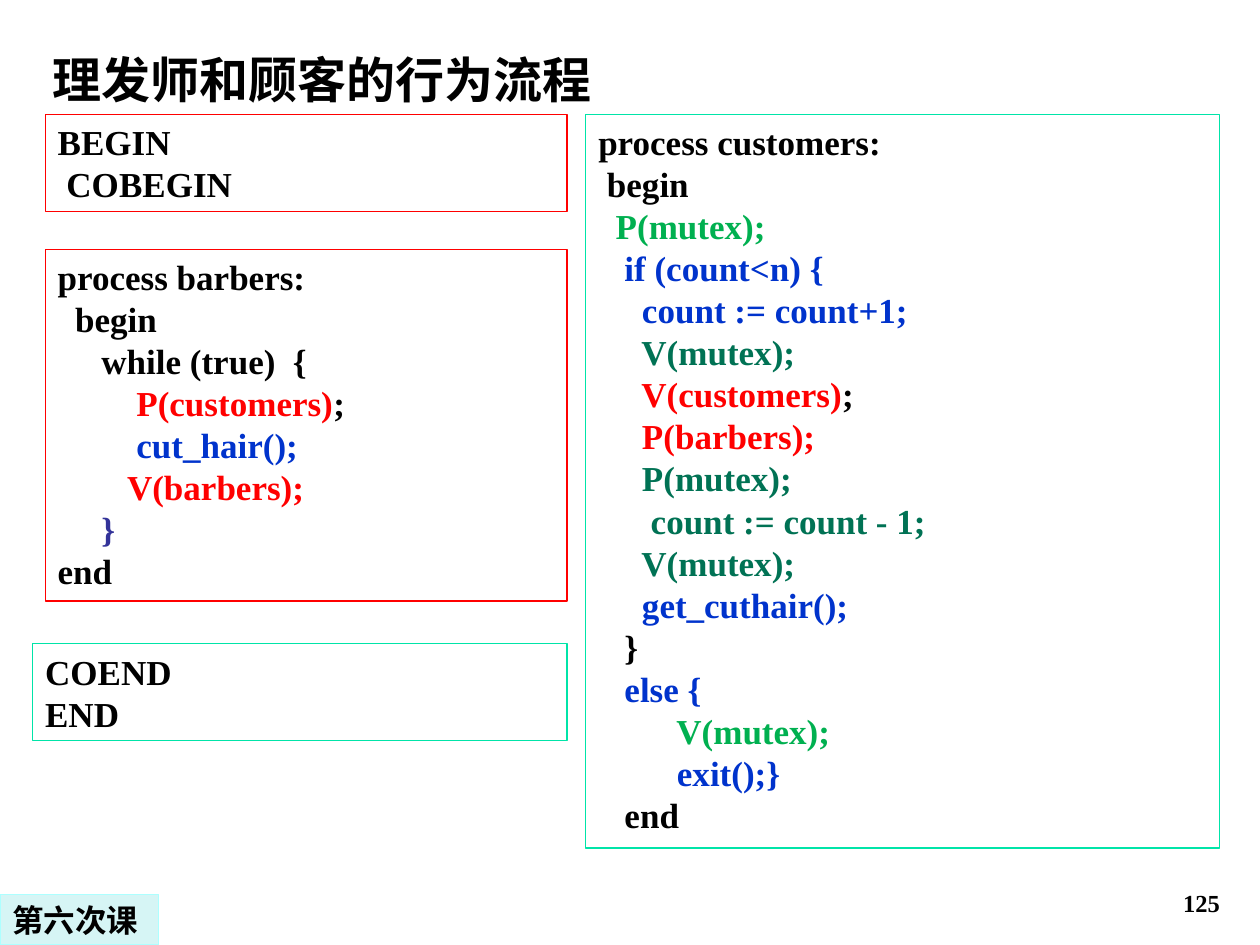
from dataclasses import dataclass
from typing import Optional

from pptx import Presentation
from pptx.dml.color import RGBColor
from pptx.enum import shapes, text
from pptx.util import Inches, Pt

BLACK = RGBColor(0x00, 0x00, 0x00)
RED = RGBColor(0xFF, 0x00, 0x00)
BLUE = RGBColor(0x00, 0x33, 0xCC)
GREEN = RGBColor(0x00, 0xB0, 0x50)
PINE = RGBColor(0x00, 0x72, 0x54)
INDIGO = RGBColor(0x33, 0x33, 0x99)
MINT = RGBColor(0x00, 0xE4, 0xA8)
PALE = RGBColor(0xD6, 0xF5, 0xF5)
AQUA = RGBColor(0xAD, 0xFF, 0xFF)
SERIF = "Times New Roman"


@dataclass
class Line:
    code: str
    color: RGBColor = BLACK
    tail: str = ""


@dataclass
class Box:
    left: float
    top: float
    width: float
    height: float
    lines: list[Line]
    edge: Optional[RGBColor] = None
    fill: Optional[RGBColor] = None
    size: int = 20
    font: str = SERIF
    inset: float = 0.1
    align: text.PP_ALIGN = text.PP_ALIGN.LEFT
    anchor: text.MSO_ANCHOR = text.MSO_ANCHOR.TOP


BARBER = [
    Line("process barbers:"),
    Line("  begin"),
    Line("     while (true)  {"),
    Line("         P(customers)", RED, ";"),
    Line("         cut_hair();", BLUE),
    Line("        V(barbers);", RED),
    Line("     }", INDIGO),
    Line("end"),
]
CLIENT = [
    Line("process customers:"),
    Line(" begin"),
    Line("  P(mutex);", GREEN),
    Line("   if (count<n) {", BLUE),
    Line("     count := count+1;", BLUE),
    Line("     V(mutex);", PINE),
    Line("     V(customers)", RED, ";"),
    Line("     P(barbers);", RED),
    Line("     P(mutex);", PINE),
    Line("      count := count - 1;", PINE),
    Line("     V(mutex);", PINE),
    Line("     get_cuthair();", BLUE),
    Line("   }"),
    Line("   else {", BLUE),
    Line("         V(mutex);", GREEN),
    Line("         exit();}", BLUE),
    Line("   end"),
]
BOXES = [
    Box(7.7, 6.83, 2.08, 0.5, [Line("125")], size=14,
        align=text.PP_ALIGN.RIGHT, anchor=text.MSO_ANCHOR.BOTTOM),
    Box(0.36, 0.34, 9.33, 0.57, [Line("理发师和顾客的行为流程")], size=28, inset=0.06),
    Box(0.36, 0.91, 4.14, 0.77, [Line("BEGIN"), Line(" COBEGIN")], RED),
    Box(0, 7.1, 1.26, 0.4, [Line("第六次课")], AQUA, PALE, size=18, font="DejaVu Sans"),
    Box(4.65, 0.91, 5.03, 5.82, CLIENT, MINT),
    Box(0.36, 1.98, 4.14, 2.79, BARBER, RED),
    Box(0.26, 5.11, 4.24, 0.77, [Line("COEND"), Line("END")], MINT),
]


def write(frame: text, box: Box) -> None:
    frame.word_wrap = True
    frame.vertical_anchor = box.anchor
    frame.margin_left = frame.margin_right = Inches(box.inset)
    frame.margin_top = frame.margin_bottom = Inches(0.05)
    frame.text = "\n".join(line.code for line in box.lines)
    for para, line in zip(frame.paragraphs, box.lines):
        para.alignment = box.align
        para.runs[0].font.color.rgb = line.color
        if line.tail:
            tail = para.add_run()
            tail.text = line.tail
            tail.font.color.rgb = BLACK
        for run in para.runs:
            run.font.name = box.font
            run.font.size = Pt(box.size)
            run.font.bold = True


def draw(slide, box: Box) -> None:
    place = [Inches(v) for v in (box.left, box.top, box.width, box.height)]
    if box.edge is None:
        shape = slide.shapes.add_textbox(*place)
    else:
        shape = slide.shapes.add_shape(shapes.MSO_SHAPE.RECTANGLE, *place)
        shape.shadow.inherit = False
        shape.line.color.rgb = box.edge
        shape.line.width = Pt(0.75)
        if box.fill is None:
            shape.fill.background()
        else:
            shape.fill.solid()
            shape.fill.fore_color.rgb = box.fill
    write(shape.text_frame, box)


def main() -> None:
    deck = Presentation()
    deck.slide_width, deck.slide_height = Inches(10), Inches(7.5)
    slide = deck.slides.add_slide(deck.slide_layouts[6])
    for box in BOXES:
        draw(slide, box)
    deck.save("out.pptx")


if __name__ == "__main__":
    main()
